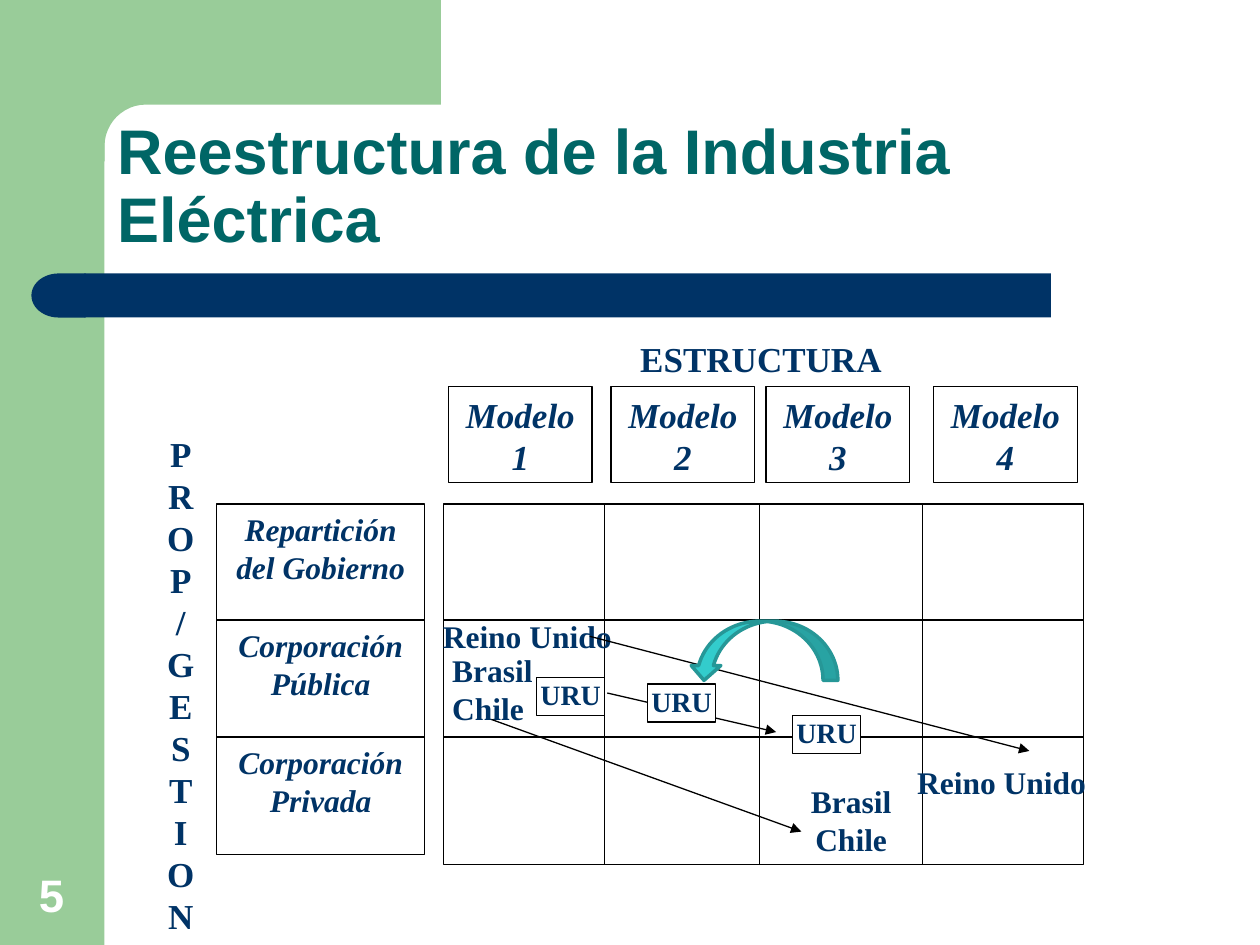
import math

from lxml import etree
from pptx import Presentation
from pptx import util as u
from pptx.dml.color import RGBColor
from pptx.enum import shapes, text
from pptx.oxml.ns import qn

COLORS = {
    "green": "99CC99", "navy": "003366", "teal": "006666", "white": "FFFFFF",
    "black": "000000", "arrow": "33CCCC", "arrow_edge": "269797",
}
SERIF, SANS = "Times New Roman", "Arial"
KIND = shapes.MSO_SHAPE
CENTER, LEFT = text.PP_ALIGN.CENTER, text.PP_ALIGN.LEFT
TOP, BOTTOM = text.MSO_ANCHOR.TOP, text.MSO_ANCHOR.BOTTOM

# Grid edges, in inches
COLUMNS = [3.52, 4.8, 6.03, 7.32, 8.6]
ROWS = [4, 4.92, 5.85, 6.86]


def color(name):
    return RGBColor.from_string(COLORS[name])


def inches(values):
    return [u.Inches(value) for value in values]


def paint(shape, fill=None, line=None, width=0.75):
    shape.shadow.inherit = False
    if fill:
        shape.fill.solid()
        shape.fill.fore_color.rgb = color(fill)
    else:
        shape.fill.background()
    if line:
        shape.line.color.rgb = color(line)
        shape.line.width = u.Pt(width)
    else:
        shape.line.fill.background()


def write(shape, lines, size, font=SERIF, ink="navy", italic=False,
          align=CENTER, anchor=TOP, margins=None):
    frame = shape.text_frame
    frame.word_wrap = True
    frame.auto_size = text.MSO_AUTO_SIZE.NONE
    frame.vertical_anchor = anchor
    if margins is not None:
        frame.margin_left = frame.margin_right = u.Inches(margins)
        frame.margin_top = frame.margin_bottom = u.Inches(margins)
    frame.text = lines
    for para in frame.paragraphs:
        para.alignment = align
        for span in para.runs:
            span.font.name = font
            span.font.size = u.Pt(size)
            span.font.bold = True
            span.font.italic = italic
            span.font.color.rgb = color(ink)


def add_block(page, kind, place, fill=None, line=None, width=0.75, flip=False):
    shape = page.shapes.add_shape(kind, *inches(place))
    paint(shape, fill, line, width)
    if flip:
        shape.element.spPr.get_or_add_xfrm().set("flipH", "1")
    return shape


def add_box(page, place, label, size, fill="white", **style):
    box = add_block(page, KIND.RECTANGLE, place, fill, "black")
    write(box, label, size, **style)


def add_label(page, place, lines, size, **style):
    write(page.shapes.add_textbox(*inches(place)), lines, size, **style)


def add_line(page, start, end, arrow=False):
    line = page.shapes.add_connector(
        shapes.MSO_CONNECTOR.STRAIGHT, *inches(start + end))
    line.line.color.rgb = color("black")
    line.line.width = u.Pt(0.75)
    properties = line.element.spPr
    if arrow:
        etree.SubElement(properties.find(qn("a:ln")), qn("a:tailEnd"), type="triangle")
    etree.SubElement(properties, qn("a:effectLst"))


def add_background(page):
    add_block(page, KIND.RECTANGLE, (0, 0, 0.83, 7.5), "green")
    # Top panel with a rounded inner corner
    radius = 0.33
    angles = [math.radians(step * 7.5) for step in range(13)]
    corner = [(1.16 - radius * math.sin(a), 1.16 - radius * math.cos(a))
              for a in angles]
    points = [(3.5, 0), (3.5, 0.83)] + corner + [(0.83, 1.28), (0.5, 1.28), (0.5, 0)]
    # Points go in as whole EMU to keep the corner smooth
    points = [tuple(inches(point)) for point in points]
    builder = page.shapes.build_freeform(*points[0])
    builder.add_line_segments(points[1:], close=True)
    paint(builder.convert_to_shape(), "green")
    # Bar under the title
    add_block(page, KIND.RECTANGLE, (0.67, 2.17, 7.67, 0.35), "navy")
    add_block(page, KIND.FLOWCHART_DELAY, (0.25, 2.17, 0.43, 0.35), "navy", flip=True)


def add_title(page):
    title = page.shapes.title
    title.left, title.top, title.width, title.height = inches((0.83, 0.83, 8.67, 1.25))
    write(title, "Reestructura de la Industria Eléctrica", 36, font=SANS,
          ink="teal", align=LEFT, anchor=BOTTOM)
    title.text_frame.paragraphs[0].line_spacing = 0.9


def add_grid(page):
    left, right, top, bottom = COLUMNS[0], COLUMNS[-1], ROWS[0], ROWS[-1]
    add_block(page, KIND.RECTANGLE, (left, top, right - left, bottom - top),
              "white", "black")
    for y in ROWS[1:-1]:
        add_line(page, (left, y), (right, y))
    for x in COLUMNS[1:-1]:
        add_line(page, (x, top), (x, bottom))


def add_headings(page):
    for number, x in enumerate((3.56, 4.85, 6.08, 7.41), 1):
        add_box(page, (x, 3.07, 1.14, 0.76), f"Modelo {number}", 20, italic=True)
    owners = ("Repartición del Gobierno", "Corporación Pública", "Corporación Privada")
    for y, owner in zip(ROWS, owners):
        add_box(page, (1.72, y, 1.65, 0.93), owner, 18, italic=True)
    add_label(page, (4.31, 2.63, 3.46, 0.68), "ESTRUCTURA", 20)
    add_label(page, (1, 3.38, 0.87, 3.41), "\n".join("PROP/GESTION"), 20)


def add_countries(page):
    add_label(page, (3.3, 4.85, 1.77, 0.67), "Reino Unido", 18)
    add_label(page, (7.15, 6.01, 1.6, 0.52), "Reino Unido", 18)
    add_label(page, (3.49, 5.12, 1.46, 0.87), "Brasil\nChile", 18, align=LEFT)
    add_label(page, (6.08, 6.16, 1.35, 0.76), "Brasil\nChile", 18)
    # Moves between models
    for start, end in (((4.68, 5.05), (8.17, 5.96)),
                       ((3.9, 5.71), (6.36, 6.6)),
                       ((4.82, 5.5), (6.16, 5.81))):
        add_line(page, start, end, arrow=True)
    for x, y, fill in ((4.26, 5.38, None), (6.29, 5.68, "white"), (5.14, 5.43, "white")):
        add_box(page, (x, y, 0.54, 0.3), "URU", 16, fill=fill, margins=0)
    add_block(page, KIND.CURVED_DOWN_ARROW, (5.47, 4.93, 1.18, 0.47),
              "arrow", "arrow_edge", 2, flip=True)


def main():
    deck = Presentation()
    deck.slide_width, deck.slide_height = inches((10, 7.5))
    page = deck.slides.add_slide(deck.slide_layouts[5])
    add_background(page)
    add_title(page)
    add_grid(page)
    add_headings(page)
    add_countries(page)
    # Page number
    add_label(page, (0.09, 6.83, 0.64, 0.53), "5", 26, font=SANS, ink="white",
              anchor=BOTTOM)
    deck.save("out.pptx")


if __name__ == "__main__":
    main()
